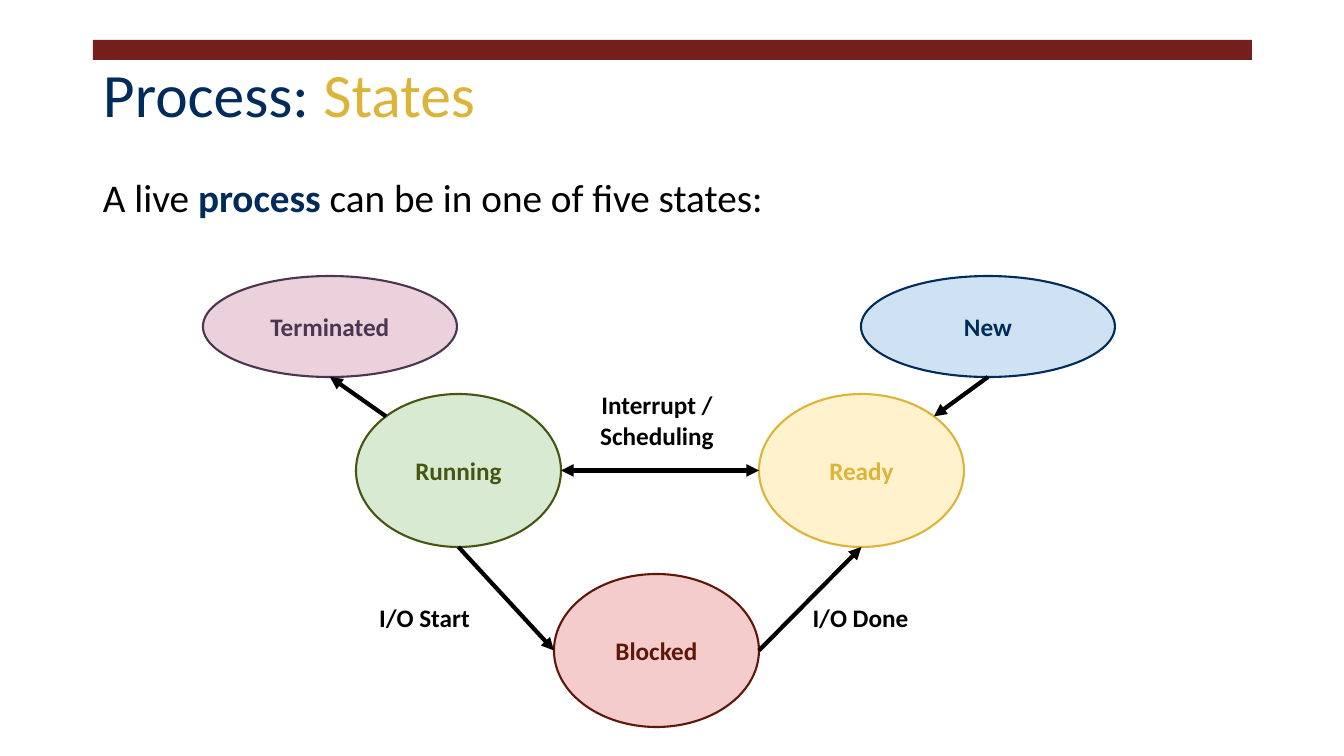
"""Build a slide showing the five states of a process and their transitions."""
from math import cos, radians, sin

from lxml.etree import SubElement
from pptx import Presentation
from pptx.dml.color import RGBColor
from pptx.enum.shapes import MSO_CONNECTOR, MSO_SHAPE
from pptx.enum.text import MSO_ANCHOR, PP_ALIGN
from pptx.oxml.ns import qn
from pptx.util import Emu, Pt

SLIDE_SIZE = (1344, 756)
EMU_PER_PX = 12192000 / 1344
FONT = "Calibri"
NAVY, GOLD, BLACK = "002B5B", "DCB439", "000000"
INSET = 10

BAR = ((93, 40, 1159, 20), "751F1C")
HEADINGS = [
    ((93, 40, 1159, 116), 44, MSO_ANCHOR.MIDDLE,
     [("Process: ", NAVY, False), ("States", GOLD, False)]),
    ((93, 169, 1159, 572), 28, MSO_ANCHOR.TOP,
     [("A live ", BLACK, False), ("process", NAVY, True),
      (" can be in one of five states:", BLACK, False)]),
]
OUTER, INNER = (254, 101), (205, 153)
STATES = {
    "Terminated": ((203, 276), OUTER, "EAD1DC", "4A3651"),
    "Running": ((356, 394), INNER, "D9EAD3", "465510"),
    "Ready": ((759, 394), INNER, "FFF2CC", GOLD),
    "Blocked": ((554, 574), INNER, "F4CCCC", "5F1709"),
    "New": ((861, 276), OUTER, "CFE2F3", NAVY),
}
RIGHT, BOTTOM, LEFT, TOP_LEFT, TOP, TOP_RIGHT = 0, 90, 180, 225, 270, 315
TRANSITIONS = [
    ("Running", BOTTOM, "Blocked", LEFT, ["tailEnd"]),
    ("Blocked", RIGHT, "Ready", BOTTOM, ["tailEnd"]),
    ("Ready", LEFT, "Running", RIGHT, ["headEnd", "tailEnd"]),
    ("Running", TOP_LEFT, "Terminated", BOTTOM, ["tailEnd"]),
    ("New", BOTTOM, "Ready", TOP_RIGHT, ["tailEnd"]),
]
LABELS = [
    ("I/O Start", (356, 574, 137, 86)),
    ("I/O Done", (792, 574, 137, 86)),
    ("Interrupt / Scheduling", (562, 377, 190, 86)),
]


def px(*lengths):
    return [Emu(round(length * EMU_PER_PX)) for length in lengths]


def rgb(code):
    return RGBColor.from_string(code)


def write(shape, runs, size, anchor=MSO_ANCHOR.MIDDLE, align=PP_ALIGN.CENTER, spacing=1.0):
    frame = shape.text_frame
    frame.word_wrap = True
    frame.vertical_anchor = anchor
    inset, = px(INSET)
    frame.margin_left = frame.margin_right = inset
    frame.margin_top = frame.margin_bottom = inset
    paragraph = frame.paragraphs[0]
    paragraph.alignment = align
    paragraph.line_spacing = spacing
    for words, color, bold in runs:
        run = paragraph.add_run()
        run.text = words
        run.font.name, run.font.size, run.font.bold = FONT, Pt(size), bold
        run.font.color.rgb = rgb(color)


def add_filled(slide, preset, box, fill):
    shape = slide.shapes.add_shape(preset, *px(*box))
    shape.shadow.inherit = False
    shape.fill.solid()
    shape.fill.fore_color.rgb = rgb(fill)
    shape.line.fill.background()
    return shape


def add_state(slide, name):
    corner, size, fill, ink = STATES[name]
    state = add_filled(slide, MSO_SHAPE.OVAL, corner + size, fill)
    state.line.color.rgb = rgb(ink)
    state.line.width = Pt(1.5)
    write(state, [(name, ink, True)], 18)


def rim_point(name, angle):
    (left, top), (width, height), _, _ = STATES[name]
    return px(left + width / 2 * (1 + cos(radians(angle))),
              top + height / 2 * (1 + sin(radians(angle))))


def add_transition(slide, source, leave, target, arrive, ends):
    arrow = slide.shapes.add_connector(
        MSO_CONNECTOR.STRAIGHT, *rim_point(source, leave), *rim_point(target, arrive))
    arrow.line.color.rgb = rgb(BLACK)
    arrow.line.width = Pt(3)
    line = arrow.line._get_or_add_ln()
    for end in ends:
        SubElement(line, qn(f"a:{end}"), type="triangle")
    SubElement(arrow._element.spPr, qn("a:effectLst"))


def main():
    deck = Presentation()
    deck.slide_width, deck.slide_height = px(*SLIDE_SIZE)
    slide = deck.slides.add_slide(deck.slide_layouts[6])
    add_filled(slide, MSO_SHAPE.RECTANGLE, *BAR)
    for box, size, anchor, runs in HEADINGS:
        heading = slide.shapes.add_textbox(*px(*box))
        write(heading, runs, size, anchor, PP_ALIGN.LEFT, 0.9)
    for name in STATES:
        add_state(slide, name)
    for transition in TRANSITIONS:
        add_transition(slide, *transition)
    for words, box in LABELS:
        label = slide.shapes.add_textbox(*px(*box))
        write(label, [(words, BLACK, True)], 18)
    deck.save("out.pptx")


if __name__ == "__main__":
    main()
